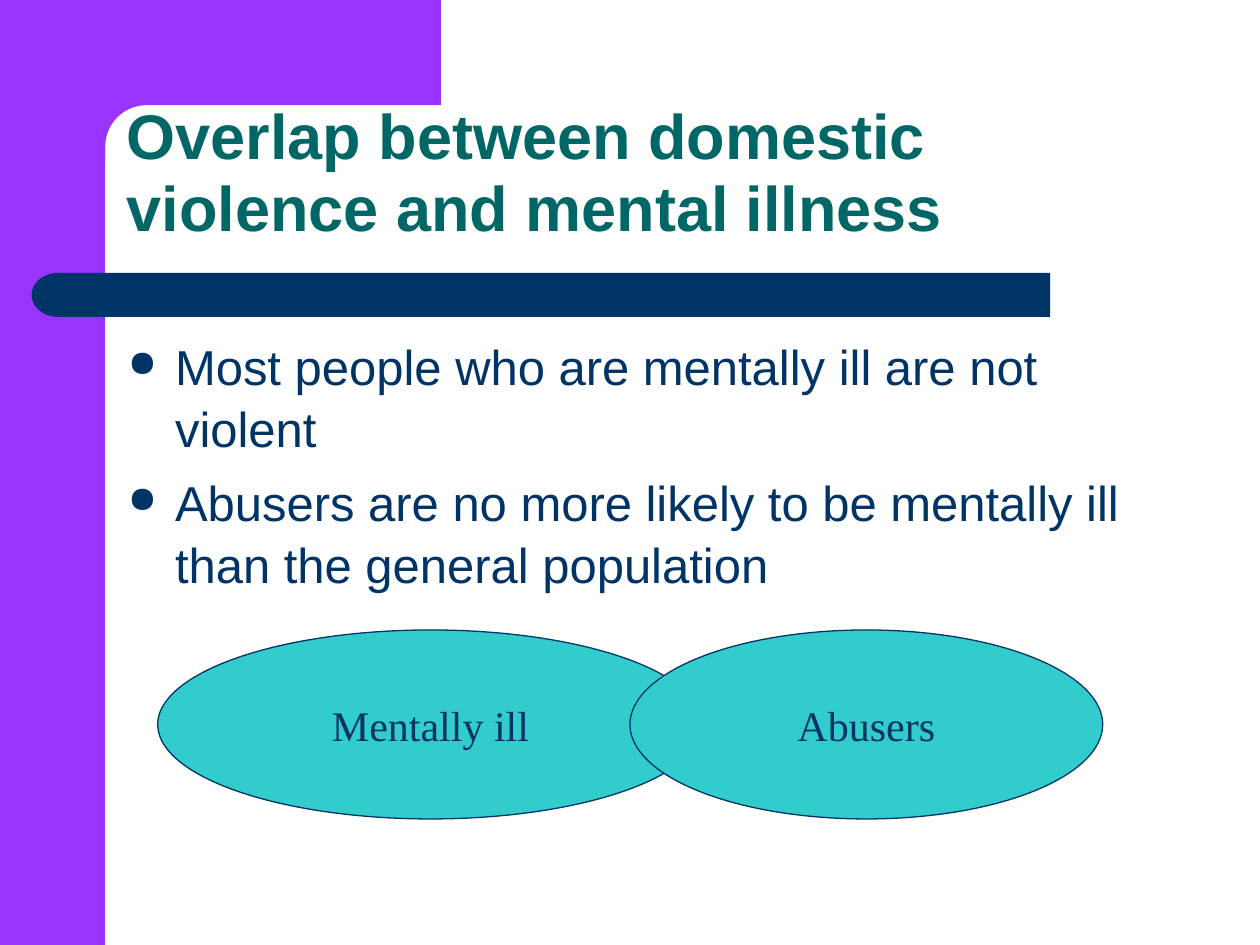
from math import cos, pi, sin

from lxml import etree
from pptx import Presentation
from pptx import util as u
from pptx.dml.color import RGBColor
from pptx.enum import shapes, text
from pptx.oxml.ns import qn

NAVY, PURPLE, TEAL, GREEN = "003366", "9933FF", "33CCCC", "006666"
SHAPE = shapes.MSO_SHAPE


def colour(value):
    return RGBColor.from_string(value)


class SlideBuilder:
    sans = "Arial"
    serif = "Times New Roman"

    def __init__(self, slide):
        self.slide = slide

    def paint(self, shape, fill, line=None):
        shape.shadow.inherit = False
        shape.fill.solid()
        shape.fill.fore_color.rgb = colour(fill)
        if line:
            shape.line.color.rgb = colour(line)
            shape.line.width = u.Pt(0.75)
        else:
            shape.line.fill.background()
        return shape

    def shape(self, kind, place, fill, line=None):
        shape = self.slide.shapes.add_shape(kind, *map(u.Cm, place))
        return self.paint(shape, fill, line)

    def outline(self, points, fill):
        points = [(u.Cm(x), u.Cm(y)) for x, y in points]
        builder = self.slide.shapes.build_freeform(*points[0])
        builder.add_line_segments(points[1:])
        return self.paint(builder.convert_to_shape(), fill)

    def style(self, para, font, size, tint, bold=False):
        for span in para.runs:
            span.font.name = font
            span.font.size = u.Pt(size)
            span.font.bold = bold
            span.font.color.rgb = colour(tint)

    def text_box(self, place, anchor):
        box = self.slide.shapes.add_textbox(*map(u.Cm, place))
        box.text_frame.word_wrap = True
        box.text_frame.vertical_anchor = anchor
        return box.text_frame

    def title(self, words, place):
        frame = self.text_box(place, text.MSO_ANCHOR.BOTTOM)
        frame.text = words
        para = frame.paragraphs[0]
        para.line_spacing = 0.95
        self.style(para, self.sans, 36, GREEN, True)

    def add_bullet(self, para):
        props = para._p.get_or_add_pPr()
        props.set("marL", str(u.Cm(0.95)))
        props.set("indent", str(-u.Cm(0.95)))
        tint = etree.SubElement(props, qn("a:buClr"))
        etree.SubElement(tint, qn("a:srgbClr"), val=NAVY)
        etree.SubElement(props, qn("a:buSzPct"), val="75000")
        etree.SubElement(props, qn("a:buChar"), char="●")

    def bullets(self, items, place):
        frame = self.text_box(place, text.MSO_ANCHOR.TOP)
        frame.text = "\n".join(items)
        for index, para in enumerate(frame.paragraphs):
            self.add_bullet(para)
            para.line_spacing = 1.05
            if index:
                para.space_before = u.Pt(7)
            self.style(para, self.sans, 28, NAVY)

    def ellipse(self, words, place):
        frame = self.shape(SHAPE.OVAL, place, TEAL, NAVY).text_frame
        frame.word_wrap = False
        frame.vertical_anchor = text.MSO_ANCHOR.MIDDLE
        frame.text = words
        para = frame.paragraphs[0]
        para.alignment = text.PP_ALIGN.CENTER
        self.style(para, self.serif, 24, NAVY)


def main():
    deck = Presentation()
    deck.slide_width, deck.slide_height = u.Cm(25.4), u.Cm(19.05)
    page = SlideBuilder(deck.slides.add_slide(deck.slide_layouts[6]))

    band, radius, steps = 2.12, 0.84, 16
    centre = band + radius
    angles = [pi / 2 * step / steps for step in range(steps + 1)]
    arc = [(centre - radius * sin(a), centre - radius * cos(a)) for a in angles]
    page.shape(SHAPE.RECTANGLE, (0, 0, band, 19.05), PURPLE)
    page.outline(
        [(1.27, 0), (8.89, 0), (8.89, band), *arc, (band, 3.25), (1.27, 3.25)], PURPLE
    )

    page.shape(SHAPE.RECTANGLE, (1.7, 5.5, 19.47, 0.89), NAVY)
    cap = page.shape(SHAPE.FLOWCHART_DELAY, (0.64, 5.5, 1.08, 0.89), NAVY)
    cap._element.spPr.get_or_add_xfrm().set("flipH", "1")

    page.title(
        "Overlap between domestic violence and mental illness", (2.31, 2.31, 21.62, 2.77)
    )
    page.bullets(
        [
            "Most people who are mentally ill are not violent",
            "Abusers are no more likely to be mentally ill than the general population",
        ],
        (2.33, 6.6, 21.37, 10.3),
    )
    page.ellipse("Mentally ill", (3.18, 12.7, 11, 3.81))
    page.ellipse("Abusers", (12.7, 12.7, 9.53, 3.81))

    deck.save("out.pptx")


if __name__ == "__main__":
    main()
